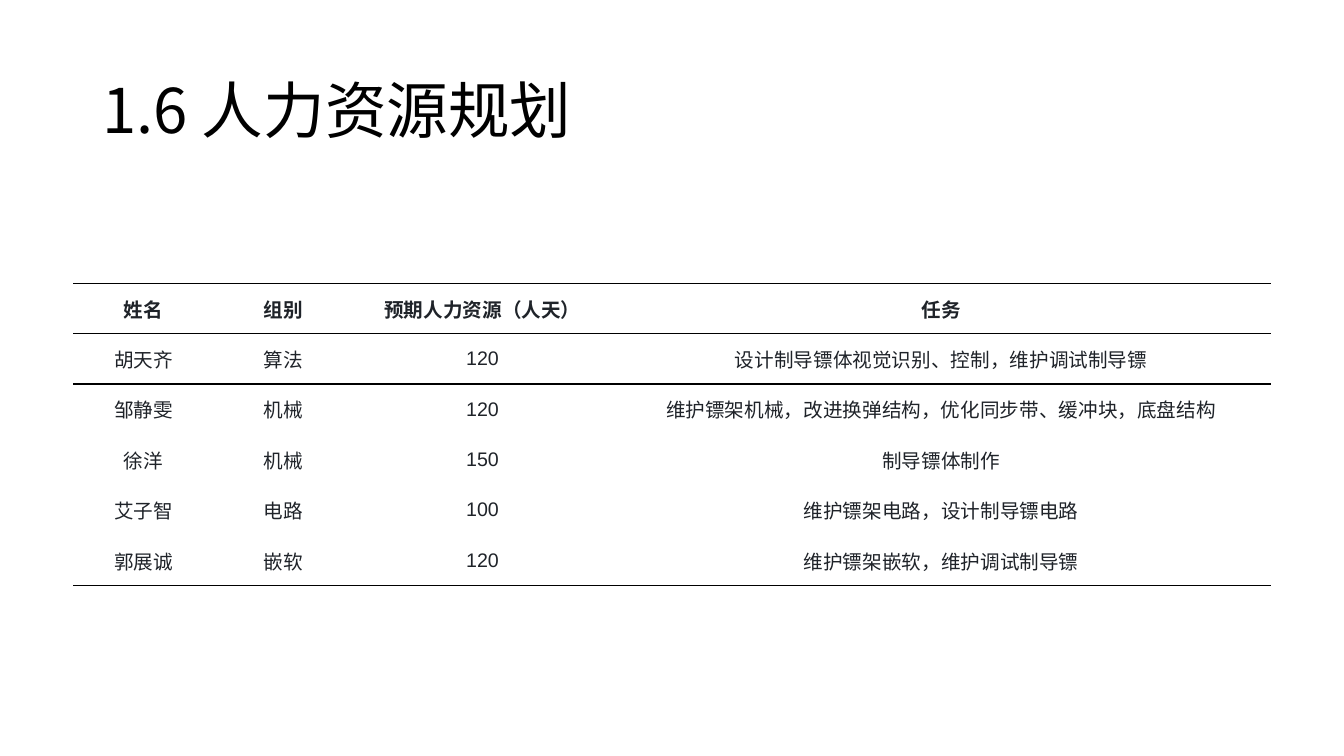
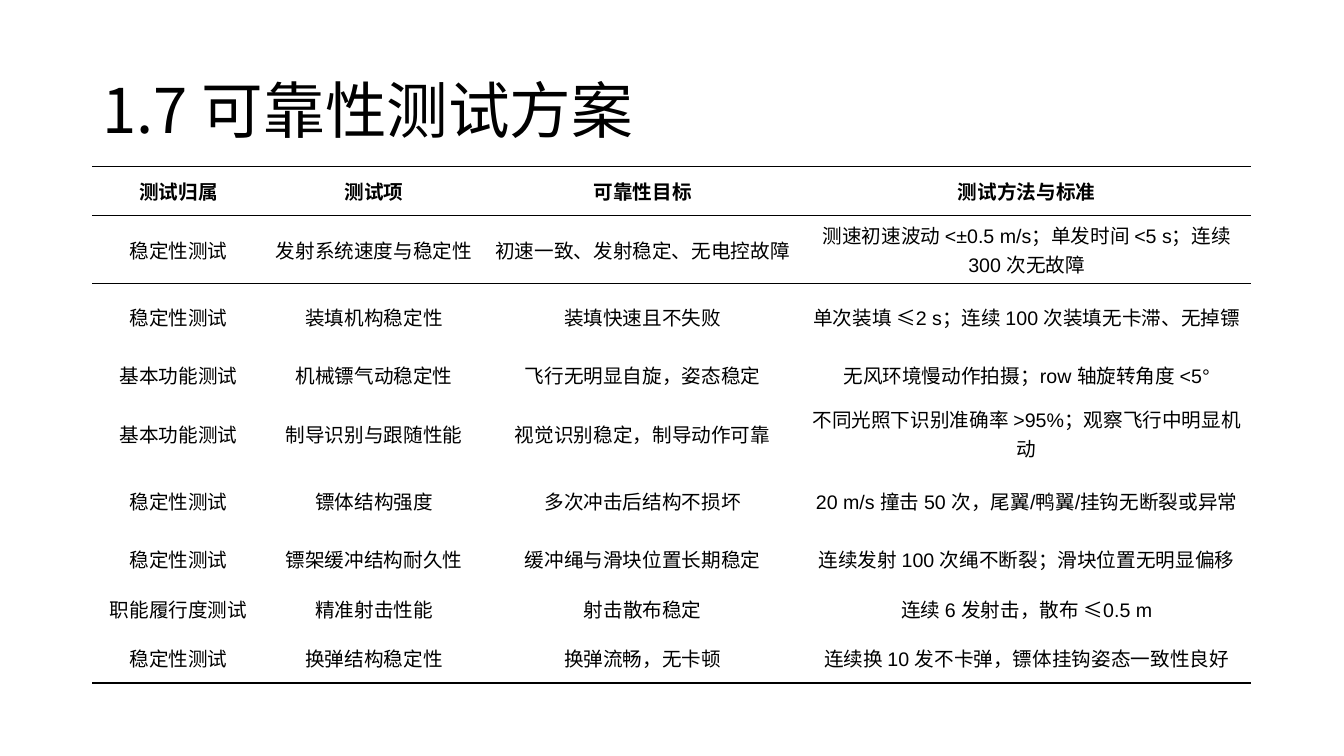
from lxml import etree
from pptx import Presentation
from pptx.dml.color import RGBColor
from pptx.enum import text
from pptx.oxml import ns
from pptx.util import Pt

COLORS = {"black": "000000", "ink": "1F2329"}
LATIN, CJK = "Arial", "Noto Sans CJK SC"
TITLE_BOX = (66, 29, 828, 104)
RULE_WIDTH = 1

STAFF = [
    ("姓名", "组别", "预期人力资源（人天）", "任务"),
    ("胡天齐", "算法", "120", "设计制导镖体视觉识别、控制，维护调试制导镖"),
    ("邹静雯", "机械", "120", "维护镖架机械，改进换弹结构，优化同步带、缓冲块，底盘结构"),
    ("徐洋", "机械", "150", "制导镖体制作"),
    ("艾子智", "电路", "100", "维护镖架电路，设计制导镖电路"),
    ("郭展诚", "嵌软", "120", "维护镖架嵌软，维护调试制导镖"),
]
TESTS = [
    ("测试归属", "测试项", "可靠性目标", "测试方法与标准"),
    ("稳定性测试", "发射系统速度与稳定性", "初速一致、发射稳定、无电控故障",
     "测速初速波动 <±0.5 m/s；单发时间 <5 s；连续 300 次无故障"),
    ("稳定性测试", "装填机构稳定性", "装填快速且不失败",
     "单次装填 ≤2 s；连续 100 次装填无卡滞、无掉镖"),
    ("基本功能测试", "机械镖气动稳定性", "飞行无明显自旋，姿态稳定",
     "无风环境慢动作拍摄；row 轴旋转角度 <5°"),
    ("基本功能测试", "制导识别与跟随性能", "视觉识别稳定，制导动作可靠",
     "不同光照下识别准确率 >95%；观察飞行中明显机动"),
    ("稳定性测试", "镖体结构强度", "多次冲击后结构不损坏",
     "20 m/s 撞击 50 次，尾翼/鸭翼/挂钩无断裂或异常"),
    ("稳定性测试", "镖架缓冲结构耐久性", "缓冲绳与滑块位置长期稳定",
     "连续发射 100 次绳不断裂；滑块位置无明显偏移"),
    ("职能履行度测试", "精准射击性能", "射击散布稳定", "连续 6 发射击，散布 ≤0.5 m"),
    ("稳定性测试", "换弹结构稳定性", "换弹流畅，无卡顿",
     "连续换 10 发不卡弹，镖体挂钩姿态一致性良好"),
]


def add_run(p, content, size, color, latin, bold=False):
    r = p.add_run()
    r.text = content
    r.font.size = Pt(size)
    r.font.bold = bold
    r.font.name = latin
    r.font.color.rgb = RGBColor.from_string(COLORS[color])
    ea = etree.SubElement(r._r.get_or_add_rPr(), ns.qn("a:ea"))
    ea.set("typeface", CJK)


def add_titled_slide(prs, title):
    s = prs.slides.add_slide(prs.slide_layouts[5])
    sp = s.shapes.title
    sp.left, sp.top, sp.width, sp.height = map(Pt, TITLE_BOX)
    tf = sp.text_frame
    tf.word_wrap = True
    tf.auto_size = text.MSO_AUTO_SIZE.NONE
    tf.vertical_anchor = text.MSO_ANCHOR.MIDDLE
    p = tf.paragraphs[0]
    p.alignment = text.PP_ALIGN.LEFT
    p.line_spacing = 0.92
    add_run(p, title, 44, "black", CJK)
    return s


def set_borders(cell, ruled):
    tc_pr = cell._tc.get_or_add_tcPr()
    for i, side in enumerate("LRTB"):
        ln = etree.Element(ns.qn(f"a:ln{side}"))
        if side in ruled:
            ln.set("w", str(Pt(RULE_WIDTH)))
            fill = etree.SubElement(ln, ns.qn("a:solidFill"))
            etree.SubElement(fill, ns.qn("a:srgbClr")).set("val", COLORS["black"])
        else:
            etree.SubElement(ln, ns.qn("a:noFill"))
        tc_pr.insert(i, ln)


def fill_cell(cell, content, color, bold, ruled):
    cell.fill.background()
    cell.vertical_anchor = text.MSO_ANCHOR.MIDDLE
    p = cell.text_frame.paragraphs[0]
    p.alignment = text.PP_ALIGN.CENTER
    add_run(p, content, 14, color, LATIN, bold)
    set_borders(cell, ruled)


def add_ruled_table(s, rows, left, top, widths, row_height, color):
    frame = s.shapes.add_table(len(rows), len(widths), Pt(left), Pt(top),
                               Pt(sum(widths)), Pt(row_height * len(rows)))
    table = frame.table
    table.first_row = table.horz_banding = False
    for column, width in zip(table.columns, widths):
        column.width = Pt(width)
    ruled_edges = {0, 1, 2, len(rows)}
    for i, row in enumerate(rows):
        table.rows[i].height = Pt(row_height)
        ruled = [side for side, edge in (("T", i), ("B", i + 1)) if edge in ruled_edges]
        for j, content in enumerate(row):
            fill_cell(table.cell(i, j), content, color, i == 0, ruled)


def main():
    prs = Presentation()
    prs.slide_width, prs.slide_height = Pt(960), Pt(540)
    s = add_titled_slide(prs, "1.6 人力资源规划")
    add_ruled_table(s, STAFF, 52.5, 202.3, (100, 100, 184.4, 471), 36, "ink")
    s = add_titled_slide(prs, "1.7 可靠性测试方案")
    add_ruled_table(s, TESTS, 66, 118.8, (123.1, 156.3, 227.5, 321.1), 35.4, "black")
    prs.save("out.pptx")


if __name__ == "__main__":
    main()
